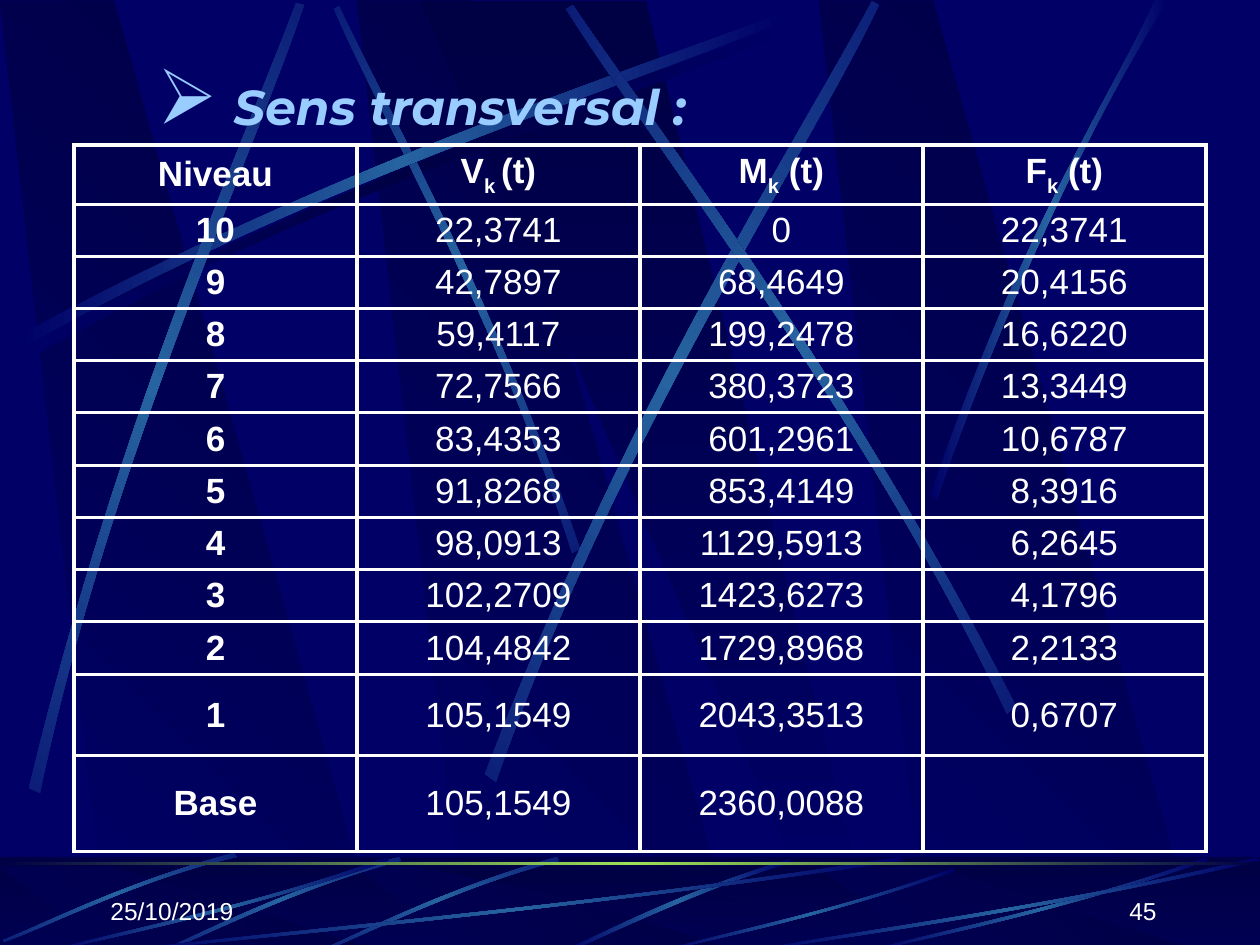
from dataclasses import dataclass
from math import cos, radians, sin

from pptx import Presentation
from pptx.dml.color import RGBColor
from pptx.enum.shapes import MSO_SHAPE
from pptx.enum.text import MSO_ANCHOR, PP_ALIGN
from pptx.oxml import parse_xml
from pptx.oxml.ns import nsdecls, qn
from pptx.util import Pt

RECT = MSO_SHAPE.RECTANGLE
MID, LOW, TOP = MSO_ANCHOR.MIDDLE, MSO_ANCHOR.BOTTOM, MSO_ANCHOR.TOP
LEFT, MIDST, RIGHT = PP_ALIGN.LEFT, PP_ALIGN.CENTER, PP_ALIGN.RIGHT
PX = 914400 // 126  # EMU in one px


@dataclass(frozen=True)
class Theme:
    navy: str = "000066"
    dark: str = "000044"
    beam: str = "2663A0"
    lime: str = "9CE157"
    sky: str = "99CCFF"
    white: str = "FFFFFF"
    body: str = "Arial"
    head: str = "Montserrat"
    title: int = 28
    cell: int = 20
    foot: int = 14
    rule: float = 2.25


@dataclass(frozen=True)
class Box:
    x: int
    y: int
    w: int
    h: int


@dataclass(frozen=True)
class Beam:
    edge: tuple  # four control points going out
    back: tuple  # four control points coming home
    turn: float = 0
    core: str = Theme.beam


T = Theme()

BEAMS = [
    Beam(((25, 346), (358, 169), (660, 74), (789, 23)),
         ((793, 30), (665, 87), (320, 190), (29, 359)), core=T.dark),
    Beam(((580, 549), (493, 295), (381, 97), (339, 6)),
         ((334, 9), (372, 100), (501, 325), (572, 553)), 45),
    Beam(((18, 336), (350, 157), (653, 64), (781, 13)),
         ((785, 20), (658, 77), (312, 180), (21, 349))),
    Beam(((29, 788), (117, 421), (248, 132), (296, 3)),
         ((304, 5), (261, 137), (108, 464), (40, 793)), 311.7),
    Beam(((485, 774), (627, 403), (804, 129), (872, 1)),
         ((879, 5), (818, 136), (612, 447), (496, 782)), 321.6),
    Beam(((1016, 706), (844, 369), (650, 120), (573, 5)),
         ((566, 9), (639, 127), (863, 410), (1007, 714)), 34.7),
    Beam(((930, 496), (1026, 218), (1119, 83), (1155, 0)),
         ((1168, 0), (1053, 183), (969, 406), (937, 500))),
]
ARCS = [
    Beam(((790, 859), (677, 893), (601, 935), (564, 950)),
         ((571, 951), (617, 930), (719, 882), (791, 863))),
    *[Beam(((x + 234, 857), (x + 124, 888), (x + 39, 932), (x, 949)),
           ((x + 1, 951), (x + 40, 936), (x + 137, 886), (x + 236, 861)), 315)
      for x in (323, 165)],
    Beam(((234, 853), (125, 882), (42, 925), (3, 940)),
         ((4, 942), (43, 929), (139, 879), (237, 857)), 315),
]
# One sweep in thousandths of its box, then the boxes it fills
SWEEP = ((1000, 40), (566, 573), (172, 853), (5, 1000),
         (0, 987), (165, 813), (616, 507), (995, 0))
SWEEPS = [Box(126, 857, 777, 94), Box(53, 857, 336, 94), Box(664, 868, 291, 83),
          Box(872, 857, 336, 94), Box(756, 857, 504, 94)]

# A pair of bars marks a subscript
ROWS = [
    ("Niveau", "V|k |(t)", "M|k| (t)", "F|k| (t)"),
    ("10", "22,3741", "0", "22,3741"),
    ("9", "42,7897", "68,4649", "20,4156"),
    ("8", "59,4117", "199,2478", "16,6220"),
    ("7", "72,7566", "380,3723", "13,3449"),
    ("6", "83,4353", "601,2961", "10,6787"),
    ("5", "91,8268", "853,4149", "8,3916"),
    ("4", "98,0913", "1129,5913", "6,2645"),
    ("3", "102,2709", "1423,6273", "4,1796"),
    ("2", "104,4842", "1729,8968", "2,2133"),
    ("1", "105,1549", "2043,3513", "0,6707"),
    ("Base", "105,1549", "2360,0088", ""),
]
SPAN, LEVELS = 470, 9  # px shared by the equal rows
HIGH = [59, *(SPAN * (i + 1) // LEVELS - SPAN * i // LEVELS for i in range(LEVELS)), 81, 96]


def blend(angle: int, *tints: str) -> str:
    last = len(tints) - 1
    stops = "".join(f'<a:gs pos="{100000 * i // last}"><a:srgbClr val="{c}"/></a:gs>'
                    for i, c in enumerate(tints))
    return (f'<a:gradFill {nsdecls("a")} rotWithShape="1"><a:gsLst>{stops}</a:gsLst>'
            f'<a:lin ang="{angle * 60000}" scaled="0"/></a:gradFill>')


def paint(shape, fill: str) -> None:
    shape.shadow.inherit = False
    shape.line.fill.background()
    shape.fill.background()
    props = shape._element.spPr
    props.replace(props.find(qn("a:noFill")), parse_xml(fill))


def slab(slide, box: Box, fill: str) -> None:
    paint(slide.shapes.add_shape(RECT, box.x * PX, box.y * PX, box.w * PX, box.h * PX), fill)


def spin(x: float, y: float, turn: float) -> tuple:
    a = radians(turn)
    return x * cos(a) - y * sin(a), x * sin(a) + y * cos(a)


def shard(slide, points: tuple, fill: str, turn: float = 0):
    # Lay the outline flat, then turn the shape back about its own centre
    flat = [spin(x * PX, y * PX, -turn) for x, y in points]
    pen = slide.shapes.build_freeform(*flat[0], scale=1.0)
    pen.add_line_segments(flat[1:], close=True)
    shape = pen.convert_to_shape()
    x, y = spin(shape.left + shape.width / 2, shape.top + shape.height / 2, turn)
    shape.left, shape.top = round(x - shape.width / 2), round(y - shape.height / 2)
    shape.rotation = turn
    paint(shape, fill)
    return shape


def glow(slide, beam: Beam) -> None:
    shape = shard(slide, beam.edge + beam.back, blend(0, T.navy, beam.core, T.navy), beam.turn)
    # Join three points at a time into a curve, on each side of the beam
    legs = list(shape._element.iter(qn("a:lnTo")))
    for trio in (legs[:3], legs[4:]):
        bend = parse_xml(f'<a:cubicBezTo {nsdecls("a")}/>')
        trio[0].addprevious(bend)
        for leg in trio:
            bend.append(leg[0])
            leg.getparent().remove(leg)


def panes(slide, top: int, foot: int) -> None:
    for x in (357, 0, 819):
        shard(slide, ((x + 108, foot), (x + 380, foot), (x + 114, top), (x, top)),
              blend(315, T.navy, T.dark))
    shard(slide, ((420, top), (829, foot), (874, foot), (646, top)), blend(90, T.dark, T.navy))


def write(frame, text: str, *, size: int, font: str = T.body, color: str = T.white,
          bold: bool = False, slant: bool = False, align=LEFT, bullet: str = "") -> None:
    para = frame.paragraphs[0]
    para.alignment = align
    if bullet:
        props = para._p.get_or_add_pPr()
        props.set("marL", str(76 * PX))
        props.set("indent", str(-76 * PX))
        for tag in ('buSzPct val="157000"', f'buChar char="{bullet}"'):
            name, rest = tag.split(" ", 1)
            props.append(parse_xml(f'<a:{name} {nsdecls("a")} {rest}/>'))
    for i, part in enumerate(text.split("|")):
        run = para.add_run()
        run.text = part
        face = run.font
        face.name, face.size, face.bold, face.italic = font, Pt(size), bold, slant
        face.color.rgb = RGBColor.from_string(color)
        if i % 2:
            run._r.get_or_add_rPr().set("baseline", "-30000")


def label(slide, box: Box, text: str, anchor=LOW, pad: tuple = (), **form) -> None:
    frame = slide.shapes.add_textbox(box.x * PX, box.y * PX, box.w * PX, box.h * PX).text_frame
    frame.word_wrap = True
    frame.vertical_anchor = anchor
    if pad:
        frame.margin_left, frame.margin_top = (n * PX for n in pad)
        frame.margin_right = frame.margin_bottom = 0
    write(frame, text, **form)


def border(cell) -> None:
    cell.fill.background()
    props = cell._tc.get_or_add_tcPr()
    for i, side in enumerate("LRTB"):
        props.insert(i, parse_xml(
            f'<a:ln{side} {nsdecls("a")} w="{Pt(T.rule)}"><a:solidFill>'
            f'<a:srgbClr val="{T.white}"/></a:solidFill></a:ln{side}>'))


def grid(slide, box: Box) -> None:
    table = slide.shapes.add_table(len(ROWS), len(ROWS[0]), box.x * PX, box.y * PX,
                                   box.w * PX, box.h * PX).table
    for row, high in zip(table.rows, HIGH):
        row.height = high * PX
    for r, row in enumerate(ROWS):
        for c, text in enumerate(row):
            cell = table.cell(r, c)
            border(cell)
            cell.vertical_anchor = MID
            cell.margin_top = cell.margin_bottom = 5 * PX
            if text:
                write(cell.text_frame, text, size=T.cell, bold=r == 0 or c == 0, align=MIDST)


def main() -> None:
    deck = Presentation()
    deck.slide_width, deck.slide_height = 1260 * PX, 945 * PX
    slide = deck.slides.add_slide(deck.slide_layouts[6])
    back = slide.background.fill
    back.solid()
    back.fore_color.rgb = RGBColor.from_string(T.navy)

    # Backdrop
    panes(slide, 1, 947)
    for beam in BEAMS:
        glow(slide, beam)

    # Footer band
    band = Box(0, 857, 1260, 94)
    slab(slide, band, blend(90, T.dark, T.navy))
    panes(slide, 867, 951)
    slab(slide, band, f'<a:solidFill {nsdecls("a")}><a:srgbClr val="{T.dark}">'
                      '<a:alpha val="50000"/></a:srgbClr></a:solidFill>')
    for arc in ARCS:
        glow(slide, arc)
    for b in SWEEPS:
        pts = tuple((b.x + b.w * x / 1000, b.y + b.h * y / 1000) for x, y in SWEEP)
        glow(slide, Beam(pts[:4], pts[4:]))
    slab(slide, Box(0, 862, 1260, 3), blend(0, T.dark, T.lime, T.dark))

    # Text and table
    label(slide, Box(98, 869, 262, 63), "25/10/2019", size=T.foot)
    label(slide, Box(907, 869, 262, 63), "45", size=T.foot, align=RIGHT)
    label(slide, Box(139, 66, 562, 112), "Sens transversal :", TOP, (19, 11), size=T.title,
          font=T.head, color=T.sky, bold=True, slant=True, bullet="➢")
    grid(slide, Box(74, 145, 1132, sum(HIGH)))
    deck.save("out.pptx")


if __name__ == "__main__":
    main()
